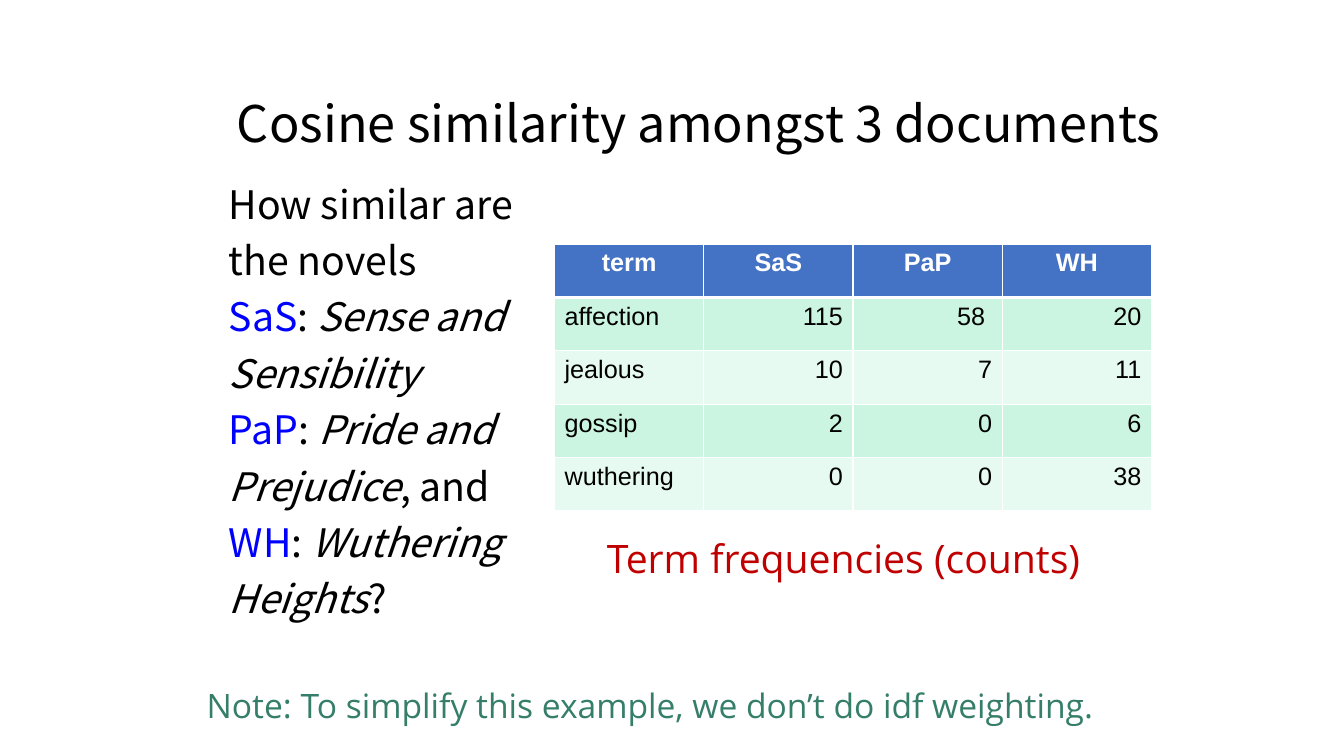
from dataclasses import dataclass

from lxml.etree import SubElement
from pptx import Presentation
from pptx.dml.color import RGBColor
from pptx.enum.text import MSO_ANCHOR, PP_ALIGN
from pptx.oxml.ns import qn
from pptx.util import Emu, Pt

PX = 9144


@dataclass(frozen=True)
class Theme:
    """Fonts, type sizes and colours of the slide."""
    main: str = "Noto Sans CJK KR"
    table: str = "Arial"
    note: str = "Open Sans"
    title_size: int = 36
    body_size: int = 28
    note_size: int = 24
    cell_size: int = 18
    black: str = "000000"
    white: str = "FFFFFF"
    blue: str = "0000FF"
    red: str = "C00000"
    green: str = "357E69"
    header: str = "4472C4"
    bands: tuple = ("CBF5E1", "E7FAF1")


T = Theme()

NOVELS = [
    [("How similar are", "plain")],
    [("the novels", "plain")],
    [("SaS", "key"), (": ", "plain"), ("Sense and", "title")],
    [("Sensibility", "title")],
    [("PaP", "key"), (": ", "plain"), ("Pride and", "title")],
    [("Prejudice", "title"), (", and", "plain")],
    [("WH", "key"), (": ", "plain"), ("Wuthering", "title")],
    [("Heights", "title"), ("?", "plain")],
]

COUNTS = [
    ["term", "SaS", "PaP", "WH"],
    ["affection", "115", "58 ", "20"],
    ["jealous", "10", "7", "11"],
    ["gossip", "2", "0", "6"],
    ["wuthering", "0", "0", "38"],
]


def px(*lengths):
    """Turn px lengths into EMU."""
    return [Emu(n * PX) for n in lengths]


def style(r, font, size, color, bold=False, italic=False):
    """Format one run."""
    r.font.name, r.font.size = font, Pt(size)
    r.font.bold, r.font.italic = bold, italic
    r.font.color.rgb = RGBColor.from_string(color)


def add_title(s, text, box):
    """Place and format the title placeholder."""
    sp = s.shapes.title
    sp.left, sp.top, sp.width, sp.height = px(*box)
    tf = sp.text_frame
    tf.text, tf.vertical_anchor = text, MSO_ANCHOR.BOTTOM
    p = tf.paragraphs[0]
    p.alignment, p.line_spacing = PP_ALIGN.LEFT, 0.9
    style(p.runs[0], T.main, T.title_size, T.black)


def add_text(s, lines, box):
    """Add a text box and return its text frame, one paragraph a line."""
    tf = s.shapes.add_textbox(*px(*box)).text_frame
    tf.word_wrap = True
    tf.text = "\n".join(lines)
    return tf


def add_novels(s, box):
    """Add the question with its coloured keys and italic titles."""
    tf = add_text(s, [""] * len(NOVELS), box)
    for i, (p, parts) in enumerate(zip(tf.paragraphs, NOVELS)):
        p.line_spacing, p.space_before = 0.9, Pt(10 if i else 0)
        for text, kind in parts:
            r = p.add_run()
            r.text = text
            color = T.blue if kind == "key" else T.black
            style(r, T.main, T.body_size, color, italic=kind == "title")


def add_caption(s, text, box, size, color):
    """Add a one-line caption."""
    tf = add_text(s, [text], box)
    style(tf.paragraphs[0].runs[0], T.note, size, color)


def set_borders(cell, top, bottom):
    """Draw white cell borders, with top and bottom widths in points."""
    tc_pr = cell._tc.get_or_add_tcPr()
    for i, (side, width) in enumerate(
            [("L", 1), ("R", 1), ("T", top), ("B", bottom)]):
        ln = tc_pr.makeelement(qn(f"a:ln{side}"), {"w": str(Pt(width))})
        fill = SubElement(ln, qn("a:solidFill"))
        SubElement(fill, qn("a:srgbClr"), val=T.white)
        tc_pr.insert(i, ln)


def add_counts(s, left, top, col_width, row_height):
    """Add the banded table of term counts."""
    rows, cols = len(COUNTS), len(COUNTS[0])
    box = px(left, top, cols * col_width, rows * row_height)
    table = s.shapes.add_table(rows, cols, *box).table
    for i, row in enumerate(COUNTS):
        for j, text in enumerate(row):
            cell = table.cell(i, j)
            cell.text = text
            p = cell.text_frame.paragraphs[0]
            head = i == 0
            p.alignment = (PP_ALIGN.CENTER if head
                           else PP_ALIGN.RIGHT if j else PP_ALIGN.LEFT)
            style(p.runs[0], T.table, T.cell_size,
                  T.white if head else T.black, bold=head)
            cell.fill.solid()
            color = T.header if head else T.bands[(i - 1) % 2]
            cell.fill.fore_color.rgb = RGBColor.from_string(color)
            set_borders(cell, 3 if i == 1 else 1, 3 if head else 1)


def main():
    """Build the slide and save it."""
    prs = Presentation()
    prs.slide_width, prs.slide_height = px(1333, 750)
    s = prs.slides.add_slide(prs.slide_layouts[5])
    add_title(s, "Cosine similarity amongst 3 documents", (225, 30, 942, 127))
    add_counts(s, 550, 242, 148, 53)
    add_novels(s, (217, 179, 329, 513))
    add_caption(s, "Term frequencies (counts)", (592, 525, 519, 57),
                T.body_size, T.red)
    add_caption(s, "Note: To simplify this example, we don’t do idf weighting.",
                (195, 675, 972, 51), T.note_size, T.green)
    prs.save("out.pptx")


if __name__ == "__main__":
    main()
